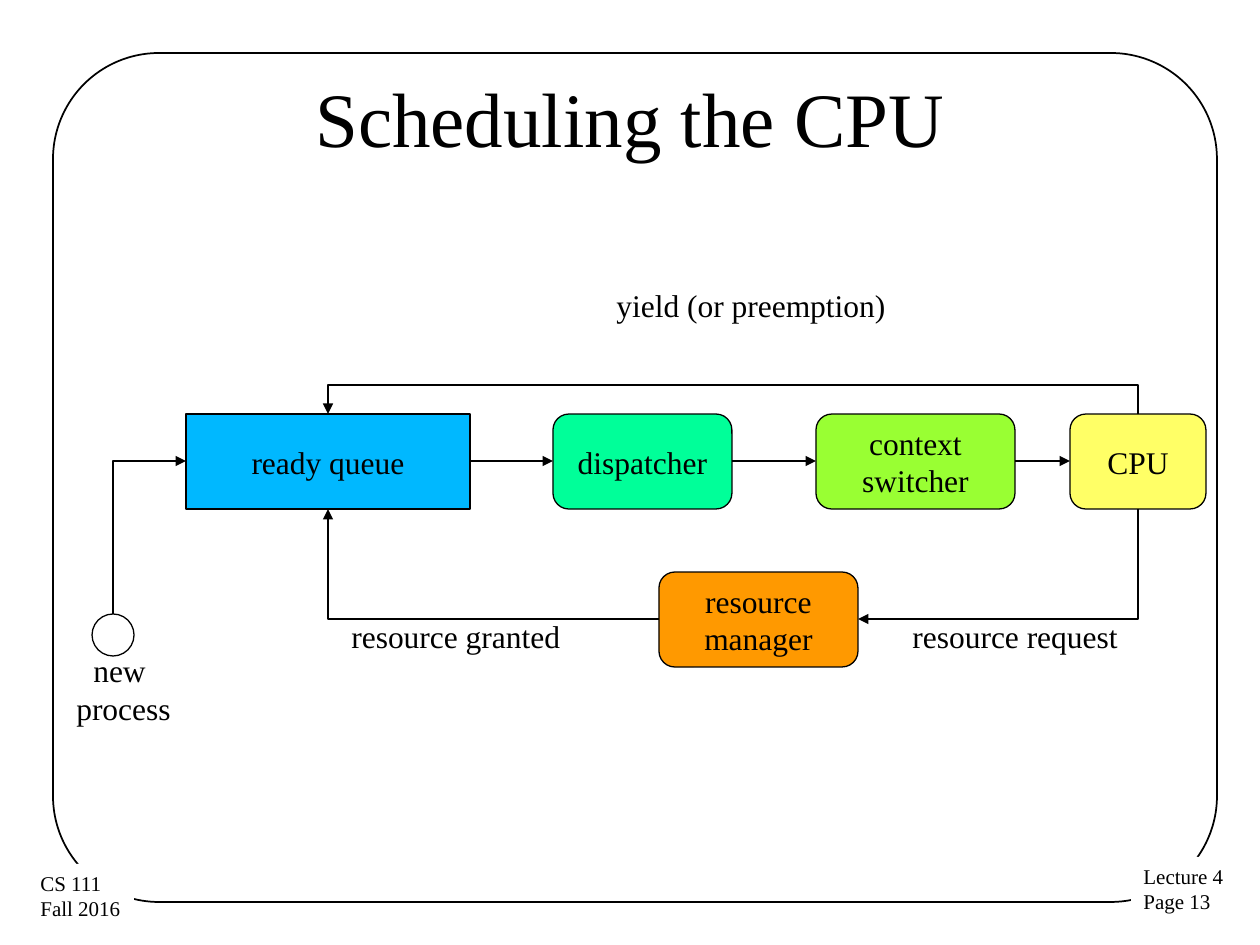
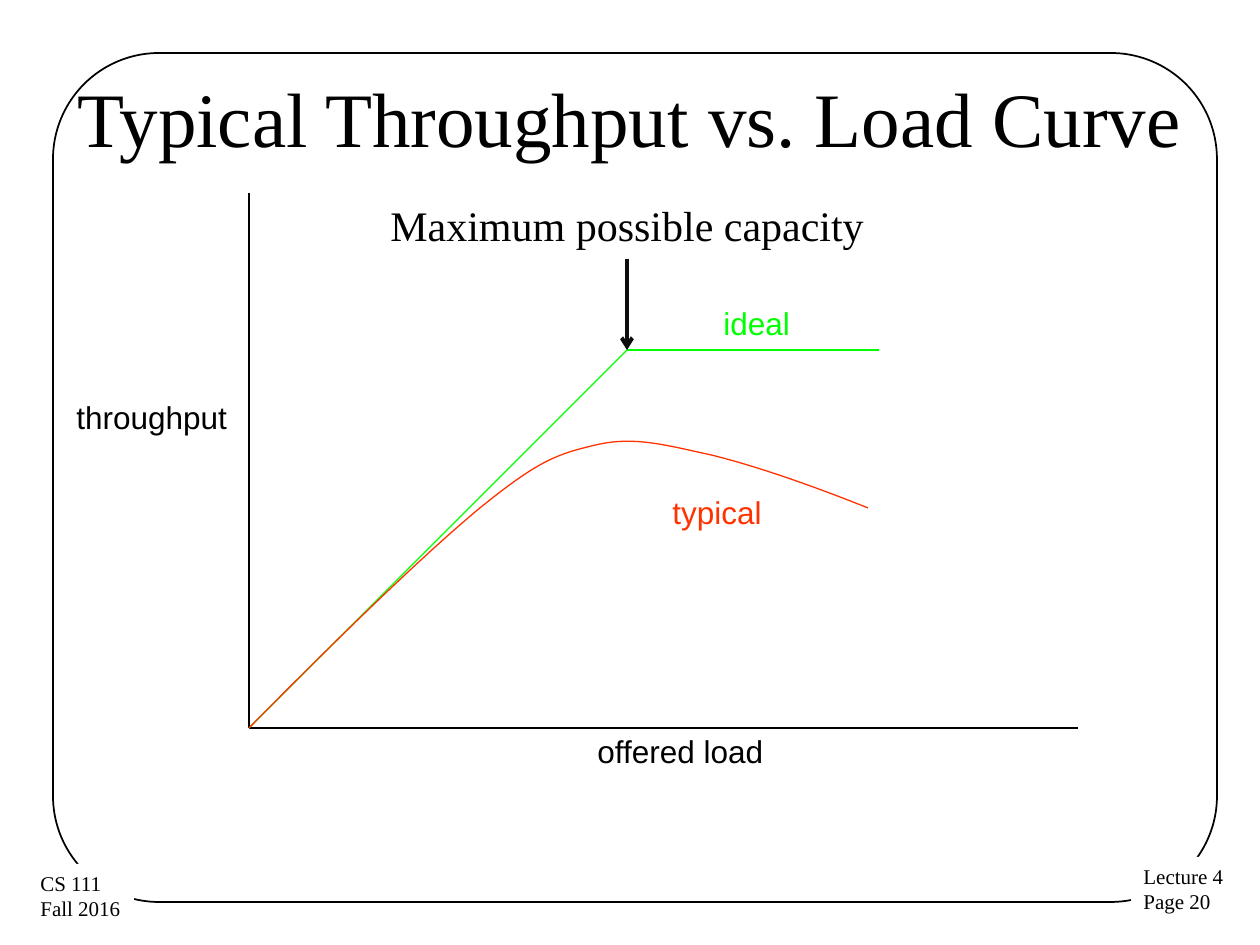
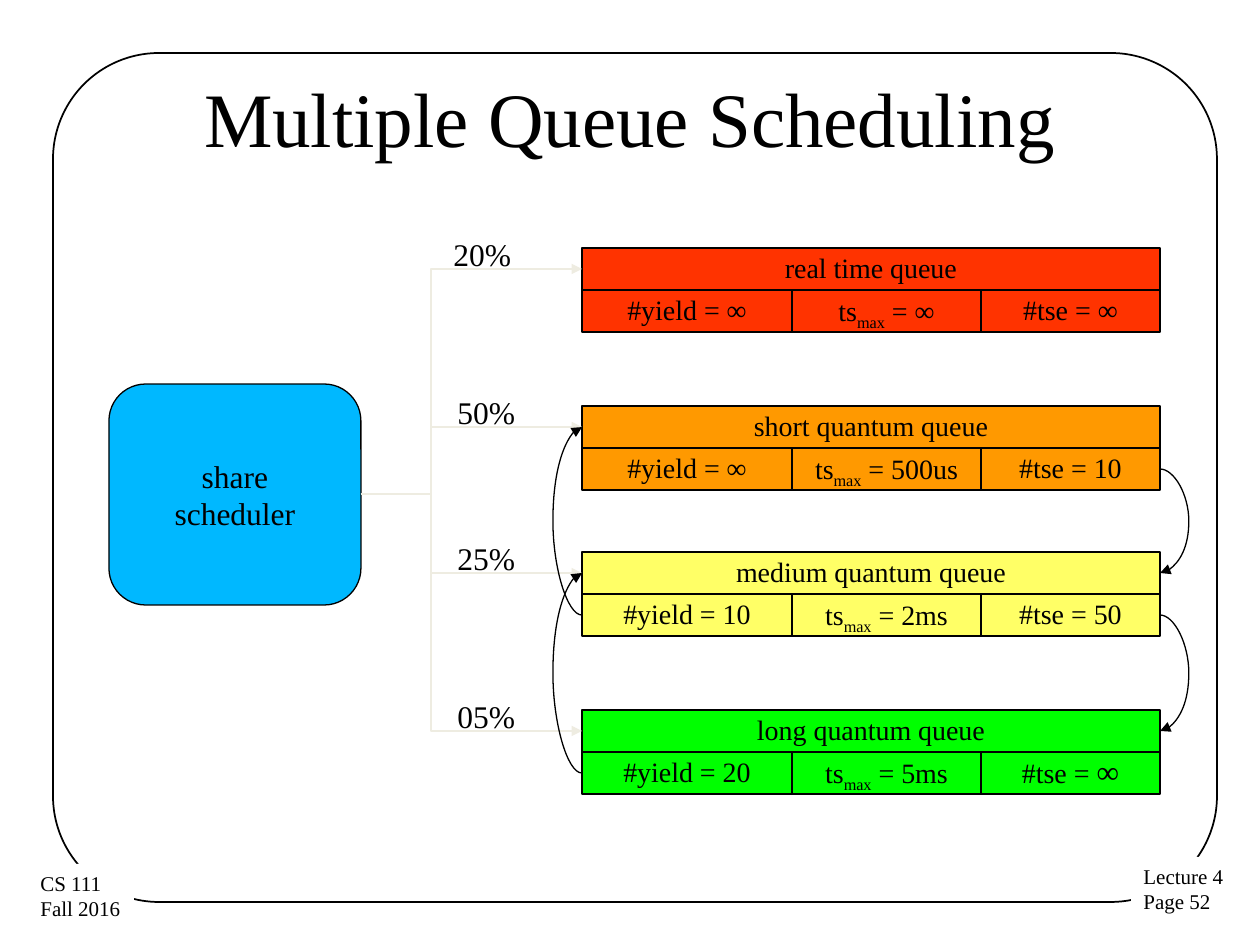
import pptx
import pptx.util
import pptx.dml.color
import pptx.enum.shapes
import pptx.enum.text
import pptx.oxml.ns
import pptx.oxml.xmlchemy

SCALE = 914400 / 126
HAIR = 1588
SERIF, SANS = "Times New Roman", "Arial"
BLACK, WHITE, PALE = "000000", "FFFFFF", "EEECE1"
BLUE, MINT, LIME, YELLOW = "00B8FF", "00FF99", "99FF33", "FFFF66"
ORANGE, RED, GREEN = "FF9900", "FF3300", "00FF00"

KIND = pptx.enum.shapes.MSO_SHAPE
LINK = pptx.enum.shapes.MSO_CONNECTOR
ALIGN = pptx.enum.text.PP_ALIGN
ANCHOR = pptx.enum.text.MSO_ANCHOR
FIT = pptx.enum.text.MSO_AUTO_SIZE


def px(*lengths):
    return [pptx.util.Emu(round(length * SCALE)) for length in lengths]


def rgb(code):
    return pptx.dml.color.RGBColor.from_string(code)


def child(parent, tag, **attributes):
    node = pptx.oxml.xmlchemy.OxmlElement(tag)
    for key, value in attributes.items():
        node.set(key, str(value))
    parent.append(node)
    return node


def write(frame, lines, size=18, font=SERIF, color=BLACK, align=ALIGN.LEFT,
          anchor=ANCHOR.TOP, wrap=False, fit=FIT.NONE, spacing=None):
    frame.word_wrap = wrap
    frame.auto_size = fit
    frame.vertical_anchor = anchor
    for number, line in enumerate(lines):
        paragraph = frame.add_paragraph() if number else frame.paragraphs[0]
        paragraph.alignment = align
        if spacing:
            paragraph.line_spacing = spacing
        pieces = [(line, {})] if isinstance(line, str) else line
        for words, style in pieces:
            run = paragraph.add_run()
            run.text = words
            run.font.name = font
            run.font.size = pptx.util.Pt(style.get("size", size))
            run.font.color.rgb = rgb(color)
            if "baseline" in style:
                run.font._element.set("baseline", str(style["baseline"]))


def block(slide, kind, area, fill=None, line=BLACK, weight=0.75):
    shape = slide.shapes.add_shape(kind, *px(*area))
    shape.shadow.inherit = False
    if fill:
        shape.fill.solid()
        shape.fill.fore_color.rgb = rgb(fill)
    else:
        shape.fill.background()
    if line:
        shape.line.color.rgb = rgb(line)
        shape.line.width = pptx.util.Pt(weight)
    else:
        shape.line.fill.background()
    return shape


def node(slide, lines, area, fill, kind=KIND.FLOWCHART_ALTERNATE_PROCESS, **style):
    shape = block(slide, kind, area, fill)
    write(shape.text_frame, lines, align=ALIGN.CENTER, anchor=ANCHOR.MIDDLE, **style)


def label(slide, lines, area, **style):
    box = slide.shapes.add_textbox(*px(*area))
    write(box.text_frame, lines, fit=FIT.SHAPE_TO_FIT_TEXT, **style)


def footer(slide, lines, area):
    shape = block(slide, KIND.RECTANGLE, area, WHITE, None)
    write(shape.text_frame, lines, size=12, fit=FIT.SHAPE_TO_FIT_TEXT)
    return shape


def connect(slide, start, end, kind=LINK.STRAIGHT, turn=0, bend=None,
            color=BLACK, weight=0.75, head="triangle"):
    link = slide.shapes.add_connector(kind, *px(*start, *end))
    dx, dy = px(end[0] - start[0], end[1] - start[1])
    run, rise = {0: (dx, dy), 90: (dy, -dx), 180: (-dx, -dy), 270: (-dy, dx)}[turn]
    width, height = abs(run), abs(rise)
    if bend:
        width = max(width, HAIR)
    middle = px((start[0] + end[0]) / 2, (start[1] + end[1]) / 2)
    link.left = round(middle[0] - width / 2)
    link.top = round(middle[1] - height / 2)
    link.width, link.height = width, height

    properties = link.element.spPr
    transform = properties.find(pptx.oxml.ns.qn("a:xfrm"))
    transform.set("rot", str(turn * 60000))
    transform.set("flipH", str(int(run < 0 or (run == 0 and (bend or 0) < 0))))
    transform.set("flipV", str(int(rise < 0)))
    geometry = properties.find(pptx.oxml.ns.qn("a:prstGeom"))
    if bend:
        guides = geometry.find(pptx.oxml.ns.qn("a:avLst"))
        if guides is None:
            guides = child(geometry, "a:avLst")
        share = round(bend * SCALE / width * 100000)
        child(guides, "a:gd", name="adj1", fmla=f"val {share}")
    elif kind == LINK.ELBOW:
        geometry.set("prst", "bentConnector2")

    link.line.color.rgb = rgb(color)
    link.line.width = pptx.util.Pt(weight)
    if head:
        child(link.line._get_or_add_ln(), "a:tailEnd", type=head)
    child(properties, "a:effectLst")


def curve(slide, points, color):
    builder = slide.shapes.build_freeform(*points[0], scale=SCALE)
    builder.add_line_segments(points[1:], close=False)
    shape = builder.convert_to_shape()
    shape.shadow.inherit = False
    shape.fill.background()
    shape.line.color.rgb = rgb(color)
    shape.line.width = pptx.util.Pt(0.75)
    outline = next(shape.element.iter(pptx.oxml.ns.qn("a:path")))
    steps = list(outline)[1:]
    for first in range(0, len(steps), 3):
        bezier = child(outline, "a:cubicBezTo")
        for step in steps[first:first + 3]:
            bezier.append(step[0])
            outline.remove(step)


def add_slide(deck, title, page):
    slide = deck.slides.add_slide(deck.slide_layouts[5])
    heading = slide.shapes.title
    heading.left, heading.top, heading.width, heading.height = px(63, 38, 1134, 158)
    write(heading.text_frame, [title], size=44, align=ALIGN.CENTER,
          anchor=ANCHOR.MIDDLE, wrap=True)
    footer(slide, ["Lecture 4", f"Page {page}"], (1131, 857, 107, 64))
    return slide


def furnish_master(deck, slide):
    border = block(slide, KIND.ROUNDED_RECTANGLE, (53, 53, 1164, 849), weight=1)
    border.adjustments[0] = 0.125
    course = footer(slide, ["CS 111", "Fall 2016 "], (28, 864, 106, 64))
    for part in (border, course):
        deck.slide_master.shapes._spTree.append(part.element)


def draw_cpu_scheduling(slide):
    top, height, axis, lower = 414, 95, 461, 619
    bottom = top + height
    queue_middle, cpu_middle = 328, 1138
    node(slide, ["ready queue"], (186, top, 284, height), BLUE, KIND.RECTANGLE)
    node(slide, ["dispatcher"], (553, top, 179, height), MINT)
    node(slide, ["context", "switcher"], (816, top, 199, height), LIME)
    node(slide, ["CPU"], (1070, top, 136, height), YELLOW)
    node(slide, ["resource", "manager"], (659, 572, 199, height), ORANGE)
    block(slide, KIND.OVAL, (92, 614, 42, 42))

    for leave, arrive in ((470, 553), (732, 816), (1015, 1070)):
        connect(slide, (leave, axis), (arrive, axis))
    connect(slide, (cpu_middle, top), (queue_middle, top), LINK.ELBOW, 270, 32)
    connect(slide, (cpu_middle, bottom), (858, lower), LINK.ELBOW, 90)
    connect(slide, (659, lower), (queue_middle, bottom), LINK.ELBOW, 180)
    connect(slide, (113, 614), (186, axis), LINK.ELBOW, 270)

    label(slide, ["yield (or preemption)"], (604, 280, 300, 50))
    label(slide, ["resource request"], (900, 611, 233, 50))
    label(slide, ["resource granted"], (339, 611, 237, 50))
    label(slide, ["new ", "process"], (63, 645, 121, 89), align=ALIGN.CENTER)


def draw_throughput(slide):
    origin, peak = (249, 728), (627, 350)
    connect(slide, (249, 193), origin, head=None)
    connect(slide, origin, (1078, 728), head=None)
    label(slide, ["throughput "], (55, 392, 202, 54), font=SANS, align=ALIGN.CENTER)
    label(slide, ["offered load"], (585, 726, 210, 54), font=SANS)
    connect(slide, origin, peak, color=GREEN, head=None)
    label(slide, ["ideal"], (711, 298, 100, 54), font=SANS, color=GREEN)
    label(slide, ["typical"], (660, 487, 125, 54), font=SANS, color=RED)
    connect(slide, peak, (879, 350), color=GREEN, head=None)
    curve(slide, [origin, (335, 641), (422, 556), (480, 508),
                  (538, 461), (557, 454), (596, 445),
                  (634, 436), (665, 445), (711, 455),
                  (756, 466), (813, 486), (868, 508)], RED)
    connect(slide, (627, 259), peak, color="0D0D0D", weight=2.25, head="arrow")
    label(slide, ["Maximum possible capacity"], (378, 193, 504, 63), size=24)


def draw_queue(slide, top, color, name, limits):
    left, row, widths = 582, 42, (210, 189, 179)
    cell = dict(kind=KIND.RECTANGLE, size=16, spacing=0.93)
    node(slide, [name], (left, top, sum(widths), row), color, **cell)
    for number, (limit, width) in enumerate(zip(limits, widths)):
        x = left + sum(widths[:number])
        node(slide, [limit], (x, top + row, width, row), color, **cell)


def draw_multiple_queues(slide):
    left, right, row = 582, 1160, 42
    queues = [
        (248, RED, "real time queue", "∞", "∞", [("#tse = ∞", {})], "20%", 441),
        (406, ORANGE, "short quantum queue", "∞", "500us", [("#tse = 10", {})], "50%", 445),
        (552, YELLOW, "medium quantum queue", "10", "2ms", [("#tse = 50", {})], "25%", 445),
        (710, GREEN, "long quantum queue", "20", "5ms",
         [("#tse = ", {}), ("∞", {"size": 18})], "05%", 445),
    ]
    node(slide, ["share", "scheduler"], (109, 384, 252, 221), BLUE)
    for top, color, name, yields, slice_limit, ends, share, share_left in queues:
        slice_text = [("ts", {}), ("max", {"baseline": -25000}), (f" = {slice_limit}", {})]
        draw_queue(slide, top, color, name, [f"#yield = {yields}", slice_text, ends])
        connect(slide, (361, 494), (left, top + row // 2), LINK.ELBOW, bend=70, color=PALE)
        label(slide, [share], (share_left, top - 19, 83, 50))

    tops = [queue[0] for queue in queues[1:]]
    for upper, lower in zip(tops, tops[1:]):
        connect(slide, (right, upper + 63), (right, lower + 21), LINK.CURVE, bend=32)
        connect(slide, (left, lower + 63), (left, upper + 21), LINK.CURVE, 180, -32)


def main():
    deck = pptx.Presentation()
    deck.slide_width, deck.slide_height = px(1260, 945)
    pages = [
        ("Scheduling the CPU", 13, draw_cpu_scheduling),
        ("Typical Throughput vs. Load Curve", 20, draw_throughput),
        ("Multiple Queue Scheduling", 52, draw_multiple_queues),
    ]
    for number, (title, page, draw) in enumerate(pages):
        slide = add_slide(deck, title, page)
        if number == 0:
            furnish_master(deck, slide)
        draw(slide)
    deck.save("out.pptx")


main()
